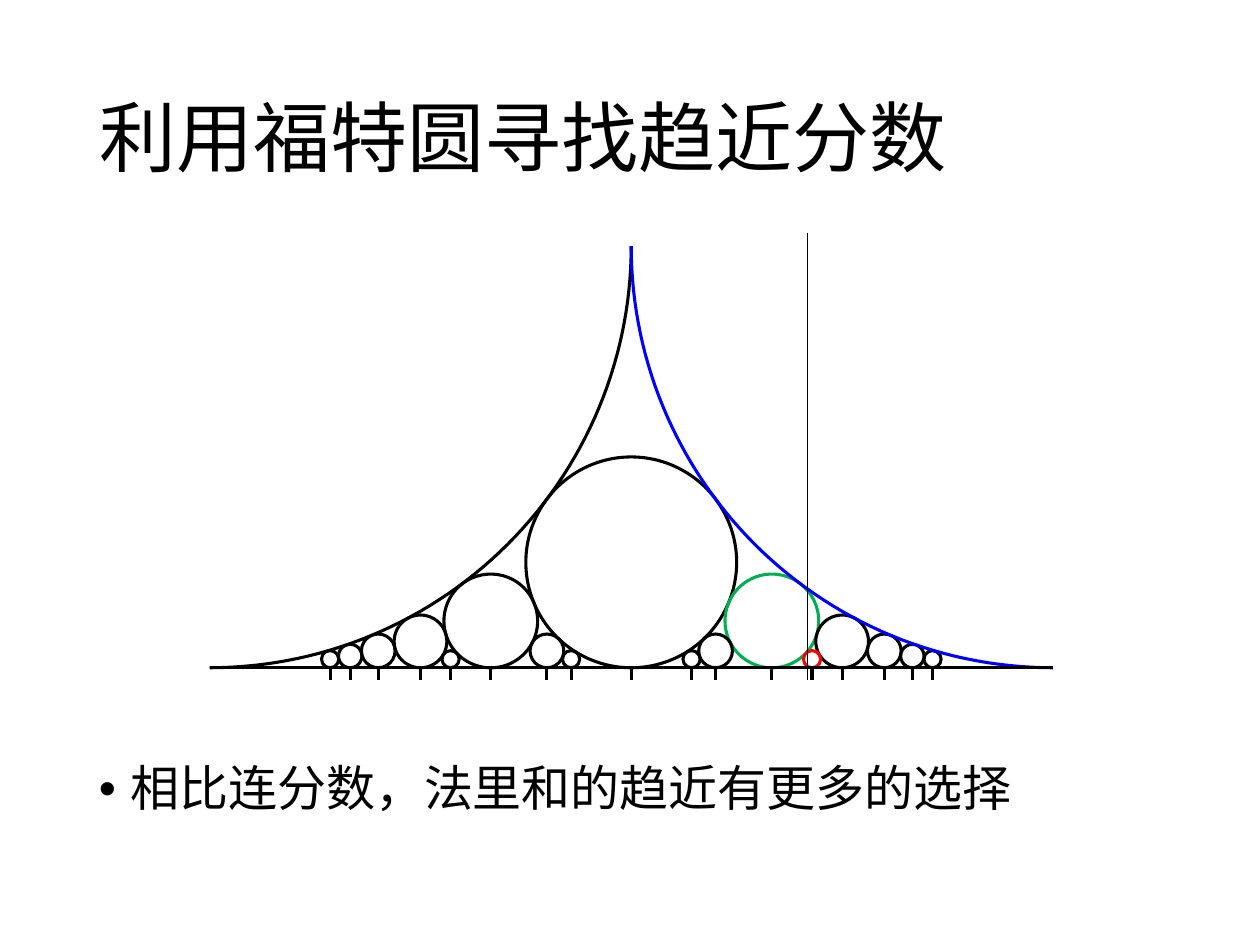
from dataclasses import dataclass
from math import cos, gcd, pi, sin

from lxml import etree
from pptx import Presentation
from pptx.dml.color import RGBColor
from pptx.enum.shapes import MSO_CONNECTOR, MSO_SHAPE
from pptx.enum.text import MSO_ANCHOR, MSO_AUTO_SIZE, PP_ALIGN
from pptx.oxml.ns import qn
from pptx.util import Pt

LINE = MSO_CONNECTOR.STRAIGHT
OVAL = MSO_SHAPE.OVAL
MIDDLE = MSO_ANCHOR.MIDDLE
FIXED = MSO_AUTO_SIZE.NONE
LEFT = PP_ALIGN.LEFT


@dataclass(frozen=True)
class Theme:
    font: str = "Noto Sans CJK SC"
    black: str = "000000"
    blue: str = "0000FF"
    green: str = "00B050"
    red: str = "FF0000"
    title: float = 44
    body: float = 28
    thick: float = 1.75
    thin: float = 0.5


THEME = Theme()
X0, BASE, SPAN = 119.8, 381.6, 481.9
TICK = 7.2
TOP_Q = 7
MARKED = {(3, 2): THEME.green, (7, 5): THEME.red}


def place(shape, left, top, width, height):
    """Set the box of a shape in points."""
    shape.left, shape.top = Pt(left), Pt(top)
    shape.width, shape.height = Pt(width), Pt(height)


def write(shape, text, size):
    """Write one left-aligned run and return its paragraph."""
    frame = shape.text_frame
    frame.word_wrap = True
    frame.auto_size = FIXED
    para = frame.paragraphs[0]
    para.alignment = LEFT
    para.line_spacing = 0.9
    run = para.add_run()
    run.text = text
    run.font.size = Pt(size)
    run.font.name = THEME.font
    run.font.color.rgb = RGBColor.from_string(THEME.black)
    east = etree.SubElement(run.font._element, qn("a:ea"))
    east.set("typeface", THEME.font)
    return para


def bullet(para, indent):
    """Give a paragraph a hanging round bullet."""
    props = para._p.get_or_add_pPr()
    props.set("marL", str(Pt(indent)))
    props.set("indent", str(-Pt(indent)))
    etree.SubElement(props, qn("a:buFont")).set("typeface", "Arial")
    etree.SubElement(props, qn("a:buChar")).set("char", "•")


def stroke(shape, color, width=THEME.thick):
    """Set the line colour and width of a shape."""
    shape.line.color.rgb = RGBColor.from_string(color)
    shape.line.width = Pt(width)


def rule(shapes, x1, y1, x2, y2, width=THEME.thick):
    """Draw a straight black line without a shadow."""
    line = shapes.add_connector(LINE, Pt(x1), Pt(y1), Pt(x2), Pt(y2))
    stroke(line, THEME.black, width)
    etree.SubElement(line._element.spPr, qn("a:effectLst"))


def circle(shapes, num, den):
    """Draw the Ford circle that rests on num/den."""
    size = SPAN / den**2
    left = X0 + SPAN * num / den - size / 2
    ring = shapes.add_shape(OVAL, Pt(left), Pt(BASE - size), Pt(size), Pt(size))
    ring.shadow.inherit = False
    ring.fill.background()
    stroke(ring, MARKED.get((den, num), THEME.black))


def arc(shapes, x, side, color, steps=60):
    """Draw a quarter circle from the base at x up toward the middle."""
    rad = SPAN / 2
    turns = [pi / 2 * i / steps for i in range(steps + 1)]
    dots = [
        (Pt(x + side * rad * sin(t)), Pt(BASE - rad + rad * cos(t)))
        for t in turns
    ]
    pen = shapes.build_freeform(*dots[0], scale=1.0)
    pen.add_line_segments(dots[1:], close=False)
    curve = pen.convert_to_shape()
    curve.shadow.inherit = False
    curve.fill.background()
    stroke(curve, color)


def diagram(slide):
    """Draw the Ford circles over the unit interval as one group."""
    shapes = slide.shapes.add_group_shape().shapes
    ratios = [
        (num, den)
        for den in range(2, TOP_Q + 1)
        for num in range(1, den)
        if gcd(num, den) == 1
    ]
    for num, den in ratios:
        x = X0 + SPAN * num / den
        rule(shapes, x, BASE, x, BASE + TICK)
    for num, den in ratios:
        circle(shapes, num, den)
    arc(shapes, X0, 1, THEME.black)
    arc(shapes, X0 + SPAN, -1, THEME.blue)
    rule(shapes, X0, BASE, X0 + SPAN, BASE)


def main():
    """Build and save the slide."""
    deck = Presentation()
    deck.slide_width, deck.slide_height = Pt(720), Pt(540)
    slide = deck.slides.add_slide(deck.slide_layouts[5])
    title = slide.shapes.title
    place(title, 49.5, 28.8, 621, 104.4)
    title.text_frame.vertical_anchor = MIDDLE
    write(title, "利用福特圆寻找趋近分数", THEME.title)
    box = slide.shapes.add_textbox(Pt(49.5), Pt(433.4), Pt(621), Pt(53.3))
    para = write(box, "相比连分数，法里和的趋近有更多的选择", THEME.body)
    para.space_before = Pt(10)
    bullet(para, 18)
    diagram(slide)
    rule(slide.shapes, 461.5, 133.2, 461.5, BASE + TICK, THEME.thin)
    deck.save("out.pptx")


if __name__ == "__main__":
    main()
